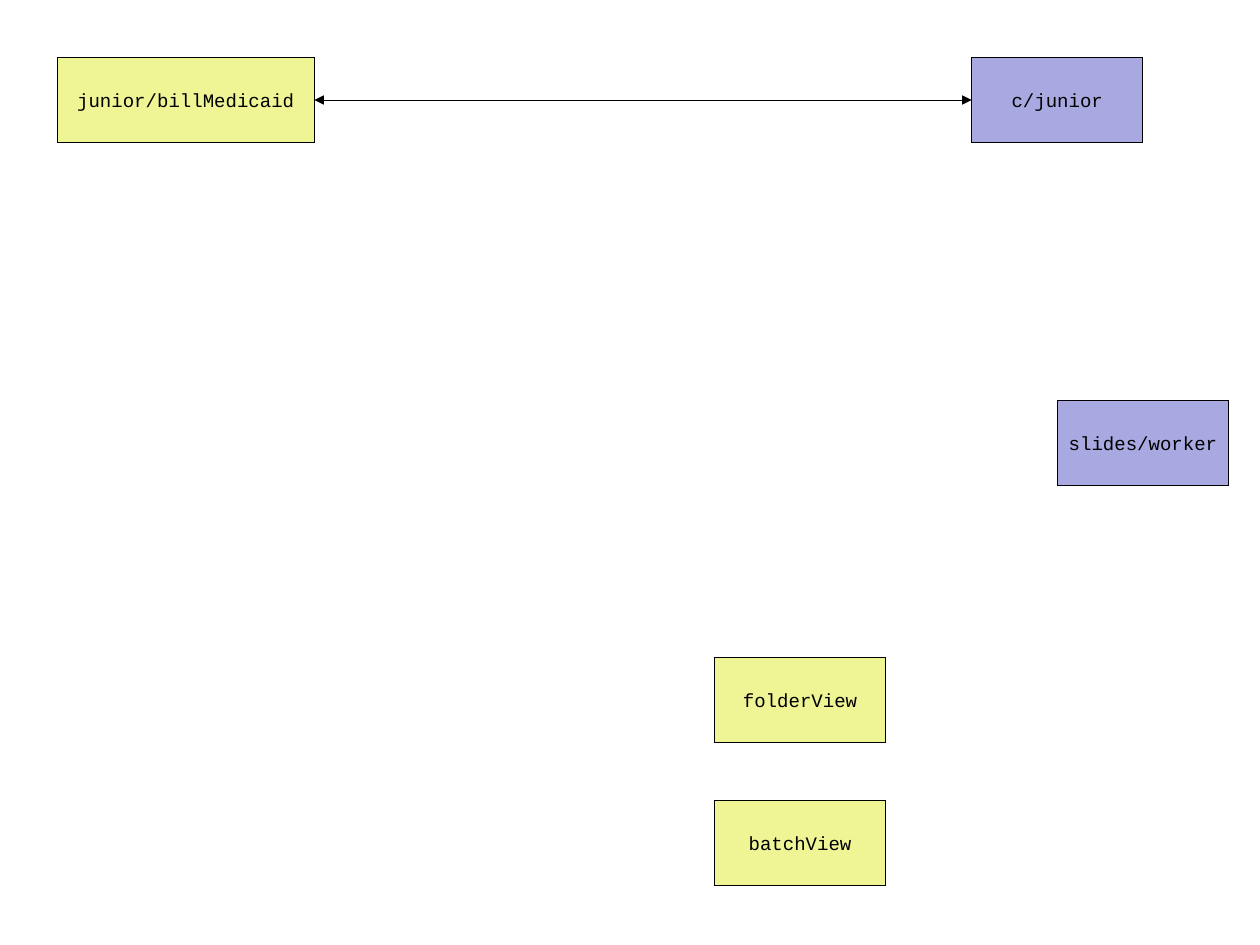
from dataclasses import dataclass

from lxml.etree import SubElement
from pptx import Presentation
from pptx.dml.color import RGBColor
from pptx.enum.shapes import MSO_CONNECTOR as Connector, MSO_SHAPE as Shape
from pptx.enum.text import MSO_ANCHOR as Anchor, PP_ALIGN as Align
from pptx.oxml.ns import qn
from pptx.util import Inches, Pt


@dataclass(frozen=True)
class Theme:
    view: RGBColor = RGBColor.from_string("EFF494")
    service: RGBColor = RGBColor.from_string("A9A9E2")
    ink: RGBColor = RGBColor.from_string("000000")
    font: str = "Courier New"
    label_size: Pt = Pt(12)


def draw_hairline(part):
    part.line.color.rgb = theme.ink
    outline = part.line._get_or_add_ln()
    outline.set("w", "0")
    return outline


theme = Theme()
CM_PER_INCH = 2.54
BOX_HEIGHT = 0.75

prs = Presentation()
prs.slide_width = Inches(28 / CM_PER_INCH)
prs.slide_height = Inches(21 / CM_PER_INCH)
slide = prs.slides.add_slide(prs.slide_layouts[6])

components = [
    ("junior/billMedicaid", 0.5, 0.5, 2.25, theme.view),
    ("c/junior", 8.5, 0.5, 1.5, theme.service),
    ("folderView", 6.25, 5.75, 1.5, theme.view),
    ("batchView", 6.25, 7, 1.5, theme.view),
    ("slides/worker", 9.25, 3.5, 1.5, theme.service),
]

boxes = {}
for label, left, top, width, fill in components:
    box = slide.shapes.add_shape(
        Shape.RECTANGLE, Inches(left), Inches(top), Inches(width), Inches(BOX_HEIGHT)
    )
    box.shadow.inherit = False
    box.fill.solid()
    box.fill.fore_color.rgb = fill
    draw_hairline(box)
    frame = box.text_frame
    frame.word_wrap = False
    frame.vertical_anchor = Anchor.MIDDLE
    paragraph = frame.paragraphs[0]
    paragraph.alignment = Align.CENTER
    run = paragraph.add_run()
    run.text = label
    run.font.name = theme.font
    run.font.size = theme.label_size
    run.font.color.rgb = theme.ink
    boxes[label] = box

exchange = slide.shapes.add_connector(
    Connector.STRAIGHT, Inches(8.5), Inches(0.88), Inches(2.75), Inches(0.88)
)
exchange.begin_connect(boxes["c/junior"], 1)
exchange.end_connect(boxes["junior/billMedicaid"], 3)
exchange_outline = draw_hairline(exchange)
for arrow_end in ("a:headEnd", "a:tailEnd"):
    SubElement(exchange_outline, qn(arrow_end), type="triangle")
SubElement(exchange._element.spPr, qn("a:effectLst"))

prs.save("out.pptx")
